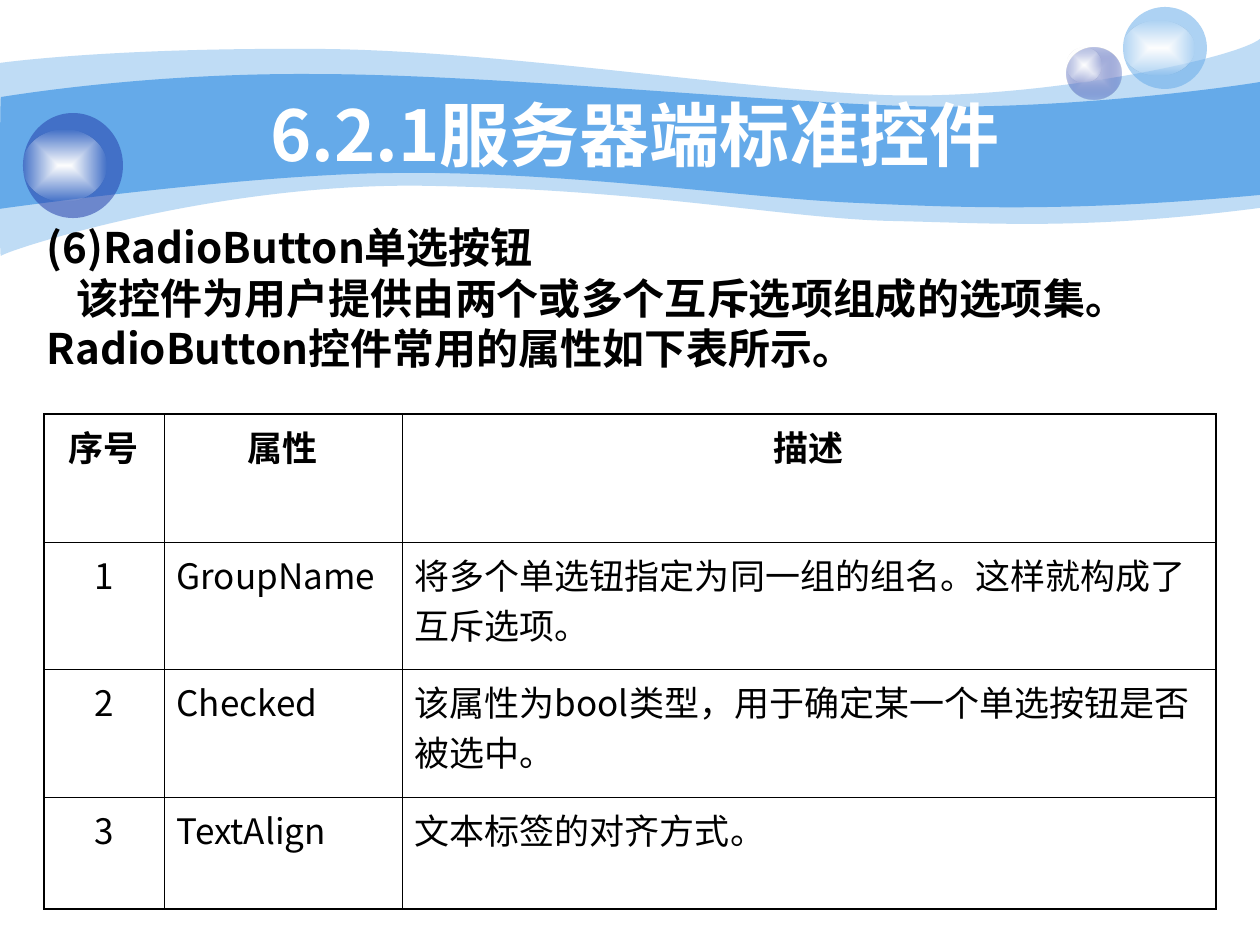
import pptx
import pptx.dml.color
import pptx.enum.shapes
import pptx.enum.text
import pptx.oxml.ns
import pptx.util
from lxml import etree

RGBColor = pptx.dml.color.RGBColor
Align = pptx.enum.text.PP_ALIGN
Anchor = pptx.enum.text.MSO_ANCHOR
qn = pptx.oxml.ns.qn

PX = 914400 // 126
FONT = "Noto Sans CJK SC"
WHITE = RGBColor(0xFF, 0xFF, 0xFF)
CLEAR_WHITE = RGBColor(0xFE, 0xFE, 0xFE)
BLACK = RGBColor(0x00, 0x00, 0x00)
SKY = RGBColor(0x65, 0xAA, 0xE9)
NAVY = RGBColor(0x23, 0x3D, 0xA9)
LILAC = RGBColor(0xC6, 0xCC, 0xE8)

THIN, THICK = 0.45, 1.08
SHINE = ((WHITE, 100), (CLEAR_WHITE, 0))

OUTER_WAVE = [
    [(0, 63)],
    [(30, 59), (135, 48), (311, 49)],
    [(486, 49), (725, 88), (881, 95)],
    [(1036, 101), (1235, 59), (1260, 39)],
    [(1260, 208)],
    [(1081, 231), (992, 223), (888, 221)],
    [(784, 218), (649, 190), (432, 186)],
    [(217, 181), (5, 251), (1, 256)],
    [(-1, 262), (0, 95), (0, 63)],
]
INNER_WAVE = [
    [(1, 97)],
    [(3, 97), (139, 73), (312, 74)],
    [(486, 74), (750, 101), (905, 106)],
    [(1060, 111), (1230, 87), (1260, 82)],
    [(1260, 195)],
    [(1075, 212), (964, 208), (859, 203)],
    [(755, 199), (563, 171), (399, 173)],
    [(256, 173), (-3, 209), (-1, 209)],
    [(0, 209), (0, 97), (1, 97)],
]
BUBBLES = [
    ((1067, 48, 54, 51), ((LILAC, 100), (NAVY, 31)), (1067, 48, 35, 34)),
    ((1123, 7, 84, 82), ((SKY, 53),), (1123, 21, 71, 54)),
    ((23, 113, 100, 105), ((NAVY, 53),), (23, 130, 83, 71)),
]

INTRO = [
    ("(6)RadioButton单选按钮", 0, -48),
    ("该控件为用户提供由两个或多个互斥选项组成的选项集。", 6, -18),
    ("RadioButton控件常用的属性如下表所示。", 6, -48),
]
COLUMNS = [120, 238, 814]
ROWS = [128, 127, 128, 112]
CELLS = [
    ("序号", "属性", "描述"),
    ("1", "GroupName", "将多个单选钮指定为同一组的组名。这样就构成了互斥选项。"),
    ("2", "Checked", "该属性为bool类型，用于确定某一个单选按钮是否被选中。"),
    ("3", "TextAlign", "文本标签的对齐方式。"),
]


def px(*lengths):
    return [pptx.util.Emu(length * PX) for length in lengths]


def set_format(target, values):
    for name, value in values.items():
        setattr(target, name, value)


def add_color(parent, color, opacity=100):
    node = etree.SubElement(parent, qn("a:srgbClr"), val=str(color))
    if opacity < 100:
        etree.SubElement(node, qn("a:alpha"), val=str(opacity * 1000))


def paint(shape, stops):
    shape.shadow.inherit = False
    shape.line.fill.background()
    shape.fill.solid()
    old = shape._element.spPr.find(qn("a:solidFill"))
    if len(stops) == 1:
        fill = etree.Element(qn("a:solidFill"))
        add_color(fill, *stops[0])
    else:
        fill = etree.Element(qn("a:gradFill"), rotWithShape="1")
        stop_list = etree.SubElement(fill, qn("a:gsLst"))
        for position, stop in zip((0, 100000), stops):
            node = etree.SubElement(stop_list, qn("a:gs"), pos=str(position))
            add_color(node, *stop)
        path = etree.SubElement(fill, qn("a:path"))
        path.set("path", "rect")
        etree.SubElement(path, qn("a:fillToRect"), l="50000", t="50000", r="50000", b="50000")
    old.getparent().replace(old, fill)


def add_wave(page, segments, opacity):
    ends = [segment[-1] for segment in segments]
    builder = page.shapes.build_freeform(*ends[0], scale=PX)
    builder.add_line_segments(ends[1:], close=True)
    wave = builder.convert_to_shape()
    left, top = (min(axis) for axis in zip(*ends))
    lines = list(wave._element.iter(qn("a:lnTo")))
    for line, segment in zip(lines, segments[1:]):
        if len(segment) == 3:
            curve = etree.Element(qn("a:cubicBezTo"))
            for x, y in segment:
                etree.SubElement(curve, qn("a:pt"), x=str(x - left), y=str(y - top))
            line.getparent().replace(line, curve)
    paint(wave, ((SKY, opacity),))


def add_bubble(page, body, stops, shine):
    group = page.shapes.add_group_shape()
    for bounds, colors in ((body, stops), (shine, SHINE)):
        paint(group.shapes.add_shape(pptx.enum.shapes.MSO_SHAPE.OVAL, *px(*bounds)), colors)


def write(para, text, size, color, bold, align):
    para.alignment = align
    span = para.add_run()
    span.text = text
    set_format(span.font, {"size": pptx.util.Pt(size), "bold": bold, "name": FONT})
    span.font.color.rgb = color
    span.font._element.find(qn("a:latin")).addnext(
        etree.Element(qn("a:ea"), typeface=FONT))


def add_frame(page, bounds, anchor):
    frame = page.shapes.add_textbox(*px(*bounds)).text_frame
    side, edge = px(13, 6)
    set_format(frame, {"word_wrap": True, "vertical_anchor": anchor, "margin_left": side,
                       "margin_right": side, "margin_top": edge, "margin_bottom": edge})
    return frame


def add_title(page):
    frame = add_frame(page, (126, 95, 1018, 78), Anchor.MIDDLE)
    write(frame.paragraphs[0], "6.2.1服务器端标准控件", 40, WHITE, True, Align.CENTER)


def add_intro(page):
    frame = add_frame(page, (34, 225, 1171, 159), Anchor.TOP)
    for number, (text, before, indent) in enumerate(INTRO):
        para = frame.add_paragraph() if number else frame.paragraphs[0]
        properties = para._p.get_or_add_pPr()
        properties.set("marL", str(48 * PX))
        properties.set("indent", str(indent * PX))
        set_format(para, {"line_spacing": 0.8, "space_before": pptx.util.Pt(before)})
        write(para, text, 24, BLACK, True, Align.LEFT)


def set_borders(cell, widths):
    properties = cell._tc.get_or_add_tcPr()
    for index, (side, width) in enumerate(widths.items()):
        line = etree.Element(qn("a:ln" + side), w=str(pptx.util.Pt(width)))
        add_color(etree.SubElement(line, qn("a:solidFill")), BLACK)
        properties.insert(index, line)


def add_properties_table(page):
    bounds = px(44, 414, sum(COLUMNS), sum(ROWS))
    table = page.shapes.add_table(len(ROWS), len(COLUMNS), *bounds).table
    set_format(table, {"first_row": False, "horz_banding": False})
    for column, width in zip(table.columns, px(*COLUMNS)):
        column.width = width
    for row, height in zip(table.rows, px(*ROWS)):
        row.height = height
    for r, texts in enumerate(CELLS):
        for c, text in enumerate(texts):
            cell = table.cell(r, c)
            cell.fill.background()
            set_borders(cell, {
                "L": THICK if c == 0 else THIN,
                "R": THICK if c == len(COLUMNS) - 1 else THIN,
                "T": THICK if r == 0 else THIN,
                "B": THICK if r == len(ROWS) - 1 else THIN,
            })
            align = Align.CENTER if r == 0 or c == 0 else Align.LEFT
            write(cell.text_frame.paragraphs[0], text, 20, BLACK, r == 0, align)


def main():
    deck = pptx.Presentation()
    width, height = px(1260, 945)
    set_format(deck, {"slide_width": width, "slide_height": height})
    page = deck.slides.add_slide(deck.slide_layouts[6])
    add_wave(page, OUTER_WAVE, 41)
    add_wave(page, INNER_WAVE, 100)
    for bubble in BUBBLES:
        add_bubble(page, *bubble)
    add_title(page)
    add_intro(page)
    add_properties_table(page)
    deck.save("out.pptx")


if __name__ == "__main__":
    main()
